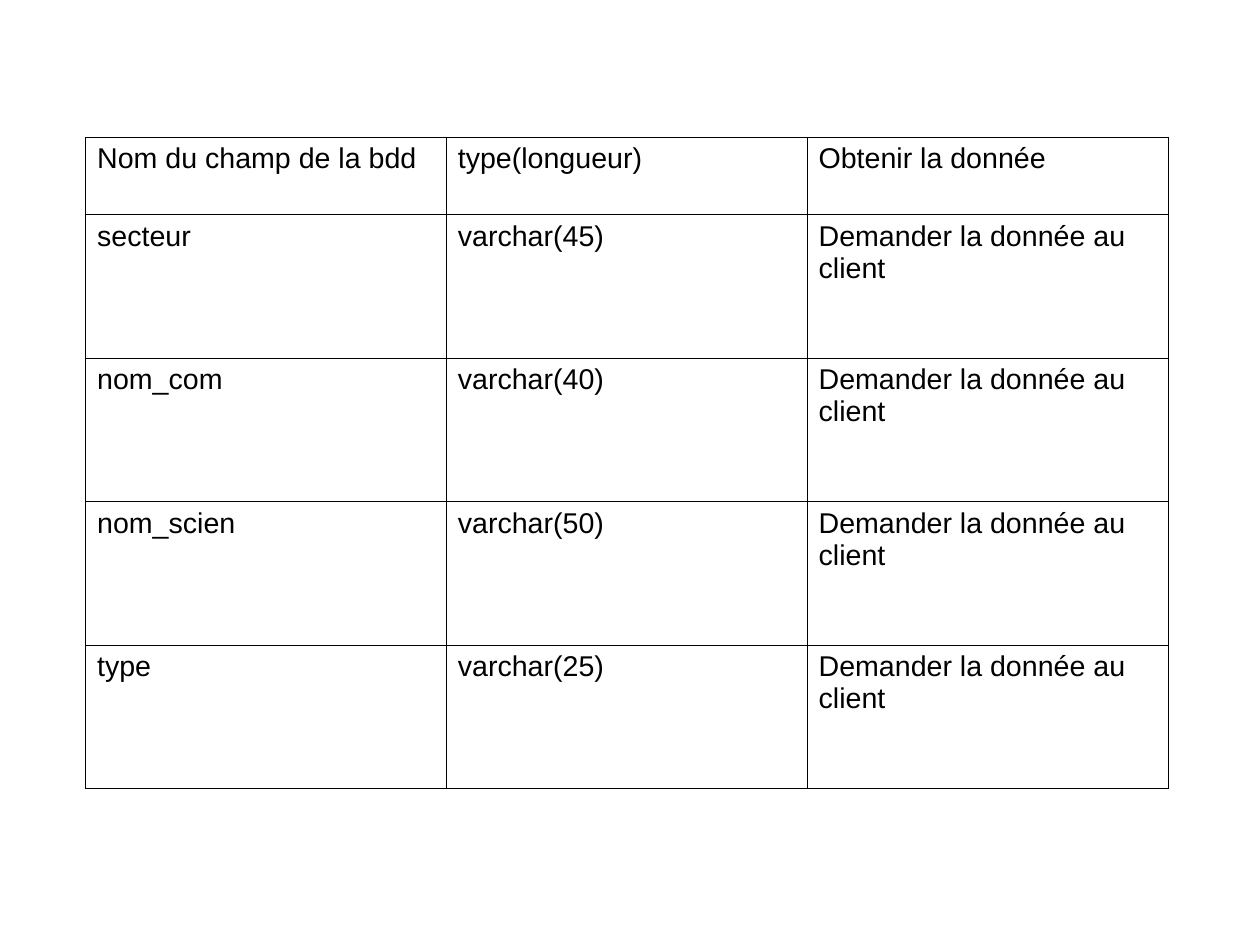
from dataclasses import dataclass

from lxml.etree import SubElement
from pptx import Presentation
from pptx.dml.color import RGBColor
from pptx.oxml.ns import qn
from pptx.util import Inches, Pt


@dataclass(frozen=True)
class Theme:
    font: str = "Arial"
    text_size: float = 18
    border_width: float = 0.57
    ink: str = "000000"
    paper: str = "FFFFFF"


THEME = Theme()

# The page measures 28 by 21 centimetres
CM_PER_INCH = 2.54
PAGE_WIDTH = 28 / CM_PER_INCH
PAGE_HEIGHT = 21 / CM_PER_INCH

HEADER = ("Nom du champ de la bdd", "type(longueur)", "Obtenir la donnée")
SOURCE = "Demander la donnée au client"
FIELDS = (
    ("secteur", 45),
    ("nom_com", 40),
    ("nom_scien", 50),
    ("type", 25),
)

HEADER_HEIGHT = 0.68


def write_text(para, text, *, size=THEME.text_size, color=THEME.ink):
    span = para.add_run()
    span.text = text
    span.font.name = THEME.font
    span.font.size = Pt(size)
    span.font.color.rgb = RGBColor.from_string(color)


def draw_borders(cell, *, width=THEME.border_width, color=THEME.ink):
    properties = cell._tc.get_or_add_tcPr()
    for side in ("a:lnL", "a:lnR", "a:lnT", "a:lnB"):
        line = SubElement(properties, qn(side), w=str(int(Pt(width))))
        fill = SubElement(line, qn("a:solidFill"))
        SubElement(fill, qn("a:srgbClr"), val=color)


def format_cell(cell, text):
    cell.margin_left = cell.margin_right = Inches(0.1)
    cell.margin_top = cell.margin_bottom = Inches(0.05)
    draw_borders(cell)
    cell.fill.solid()
    cell.fill.fore_color.rgb = RGBColor.from_string(THEME.paper)
    write_text(cell.text_frame.paragraphs[0], text)


def add_grid(page, rows, *, left, top, width, height):
    column_count = len(rows[0])
    field_height = (height - HEADER_HEIGHT) / (len(rows) - 1)
    heights = [HEADER_HEIGHT] + [field_height] * (len(rows) - 1)
    frame = page.shapes.add_table(
        len(rows), column_count,
        Inches(left), Inches(top), Inches(width), Inches(height))
    table = frame.table
    table.first_row = False
    table.horz_banding = False
    for column in table.columns:
        column.width = Inches(width / column_count)
    for row, row_height, texts in zip(table.rows, heights, rows):
        row.height = Inches(row_height)
        for cell, text in zip(row.cells, texts):
            format_cell(cell, text)


def main():
    deck = Presentation()
    deck.slide_width = Inches(PAGE_WIDTH)
    deck.slide_height = Inches(PAGE_HEIGHT)
    page = deck.slides.add_slide(deck.slide_layouts[6])

    # Database fields: name, type and where the value comes from
    rows = [HEADER]
    rows += [(name, f"varchar({length})", SOURCE) for name, length in FIELDS]
    add_grid(page, rows, left=0.75, top=1.2, width=9.47, height=5.7)

    deck.save("out.pptx")


if __name__ == "__main__":
    main()
